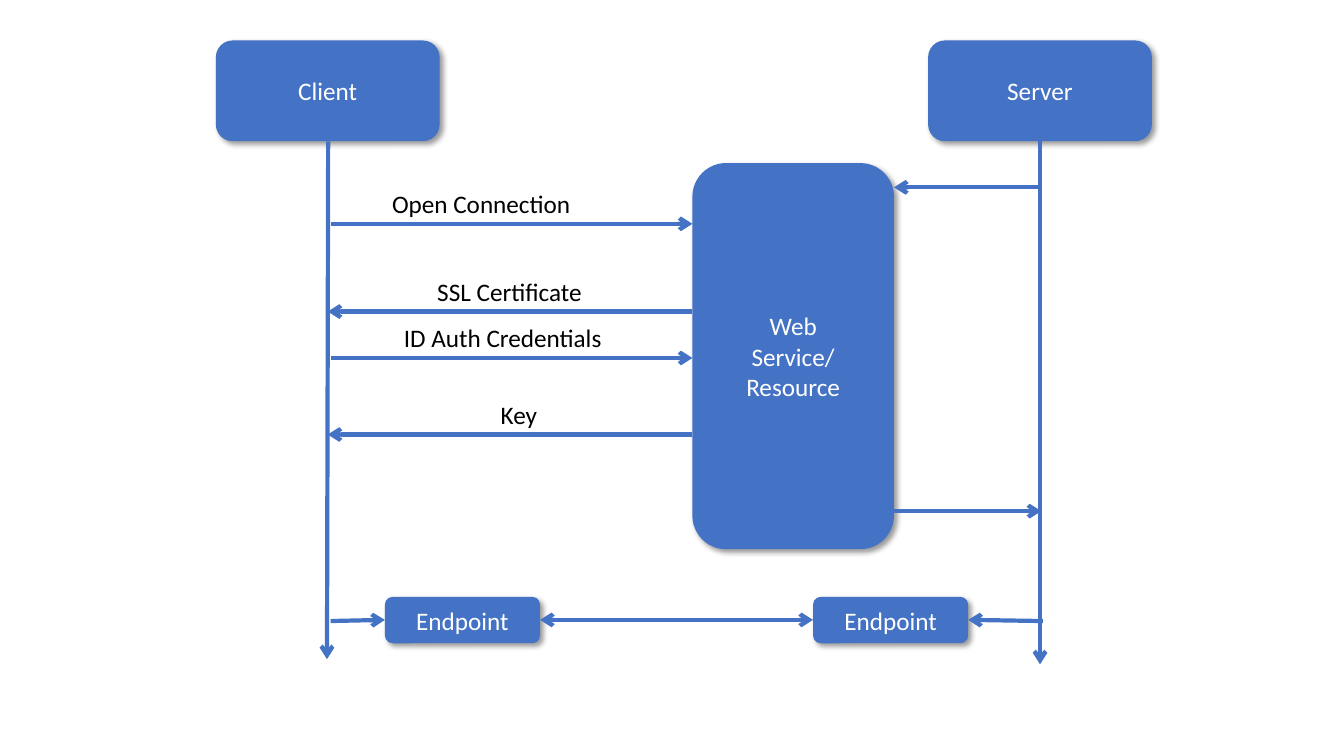
import pptx
import pptx.dml.color
import pptx.enum.shapes
import pptx.enum.text
import pptx.oxml
import pptx.oxml.ns
import pptx.util

Cm = pptx.util.Cm
Pt = pptx.util.Pt
RGBColor = pptx.dml.color.RGBColor
BLUE = RGBColor(0x44, 0x72, 0xC4)
WHITE = RGBColor(0xFF, 0xFF, 0xFF)
BLACK = RGBColor(0x00, 0x00, 0x00)
SHADOW = (
    f'<a:outerShdw {pptx.oxml.ns.nsdecls("a")} blurRad="{Pt(4)}" dist="{Pt(3)}" '
    'dir="2700000" algn="tl" rotWithShape="0"><a:srgbClr val="000000">'
    '<a:alpha val="40000"/></a:srgbClr></a:outerShdw>'
)


def write(shape, text, color, align):
    shape.text_frame.text = text
    for para in shape.text_frame.paragraphs:
        para.alignment = align
        for span in para.runs:
            span.font.name = "Calibri"
            span.font.size = Pt(18)
            span.font.color.rgb = color


def draw_arrow(x1, y1, x2, y2, ends=("tailEnd",)):
    arrow = page.shapes.add_connector(
        pptx.enum.shapes.MSO_CONNECTOR.STRAIGHT, Cm(x1), Cm(y1), Cm(x2), Cm(y2))
    arrow.line.color.rgb = BLUE
    arrow.line.width = Pt(3)
    line = arrow.line._get_or_add_ln()
    for end in ends:
        line.append(pptx.oxml.parse_xml(
            f'<a:{end} {pptx.oxml.ns.nsdecls("a")} type="arrow"/>'))
    arrow._element.spPr.append(pptx.oxml.parse_xml(
        f'<a:effectLst {pptx.oxml.ns.nsdecls("a")}/>'))


deck = pptx.Presentation()
deck.slide_width = Cm(33.87)
deck.slide_height = Cm(19.05)
page = deck.slides.add_slide(deck.slide_layouts[6])

CLIENT_X = 8.26
SERVER_X = 26.21
SERVICE_LEFT, SERVICE_WIDTH = 17.45, 5.08
SERVICE_RIGHT = SERVICE_LEFT + SERVICE_WIDTH
ENDPOINT_WIDTH = 3.91
ENDPOINT_Y = 15.62
LEFT_ENDPOINT, RIGHT_ENDPOINT = 9.7, 20.49

boxes = [
    ("Client", 5.44, 1.02, 5.64, 2.54),
    ("Server", 23.39, 1.02, 5.64, 2.54),
    ("Web\nService/ Resource", SERVICE_LEFT, 4.11, SERVICE_WIDTH, 9.73),
    ("Endpoint", LEFT_ENDPOINT, 15.04, ENDPOINT_WIDTH, 1.17),
    ("Endpoint", RIGHT_ENDPOINT, 15.04, ENDPOINT_WIDTH, 1.17),
]
for text, left, top, width, height in boxes:
    box = page.shapes.add_shape(
        pptx.enum.shapes.MSO_SHAPE.ROUNDED_RECTANGLE,
        Cm(left), Cm(top), Cm(width), Cm(height))
    box.fill.solid()
    box.fill.fore_color.rgb = BLUE
    box.line.fill.background()
    box.shadow.inherit = False
    effects = box._element.spPr.find(pptx.oxml.ns.qn("a:effectLst"))
    effects.append(pptx.oxml.parse_xml(SHADOW))
    box.text_frame.word_wrap = True
    box.text_frame.vertical_anchor = pptx.enum.text.MSO_ANCHOR.MIDDLE
    write(box, text, WHITE, pptx.enum.text.PP_ALIGN.CENTER)

draw_arrow(8.27, 3.56, 8.24, 16.61)
draw_arrow(SERVER_X, 3.56, SERVER_X, 16.74)
draw_arrow(SERVER_X, 4.72, SERVICE_RIGHT, 4.72)
draw_arrow(SERVICE_RIGHT, 12.88, SERVER_X + 0.03, 12.88)
draw_arrow(CLIENT_X + 0.07, ENDPOINT_Y + 0.03, LEFT_ENDPOINT, ENDPOINT_Y)
draw_arrow(SERVER_X + 0.07, ENDPOINT_Y + 0.03, RIGHT_ENDPOINT + ENDPOINT_WIDTH, ENDPOINT_Y)
draw_arrow(LEFT_ENDPOINT + ENDPOINT_WIDTH, ENDPOINT_Y, RIGHT_ENDPOINT, ENDPOINT_Y,
           ("headEnd", "tailEnd"))

messages = [
    ("Open Connection", 9.63, 5.08, 5.64, True),
    ("SSL Certificate", 10.77, 4.22, 7.85, False),
    ("ID Auth Credentials", 9.93, 5.56, 9.02, True),
    ("Key", 12.37, 1.45, 10.95, False),
]
for text, left, width, y, to_service in messages:
    if to_service:
        draw_arrow(CLIENT_X + 0.08, y, SERVICE_LEFT, y)
    else:
        draw_arrow(SERVICE_LEFT, y, CLIENT_X, y)
    label = page.shapes.add_textbox(Cm(left), Cm(y - 1.02), Cm(width), Cm(1.02))
    label.text_frame.word_wrap = False
    label.text_frame.auto_size = pptx.enum.text.MSO_AUTO_SIZE.SHAPE_TO_FIT_TEXT
    write(label, text, BLACK, pptx.enum.text.PP_ALIGN.LEFT)

deck.save("out.pptx")
